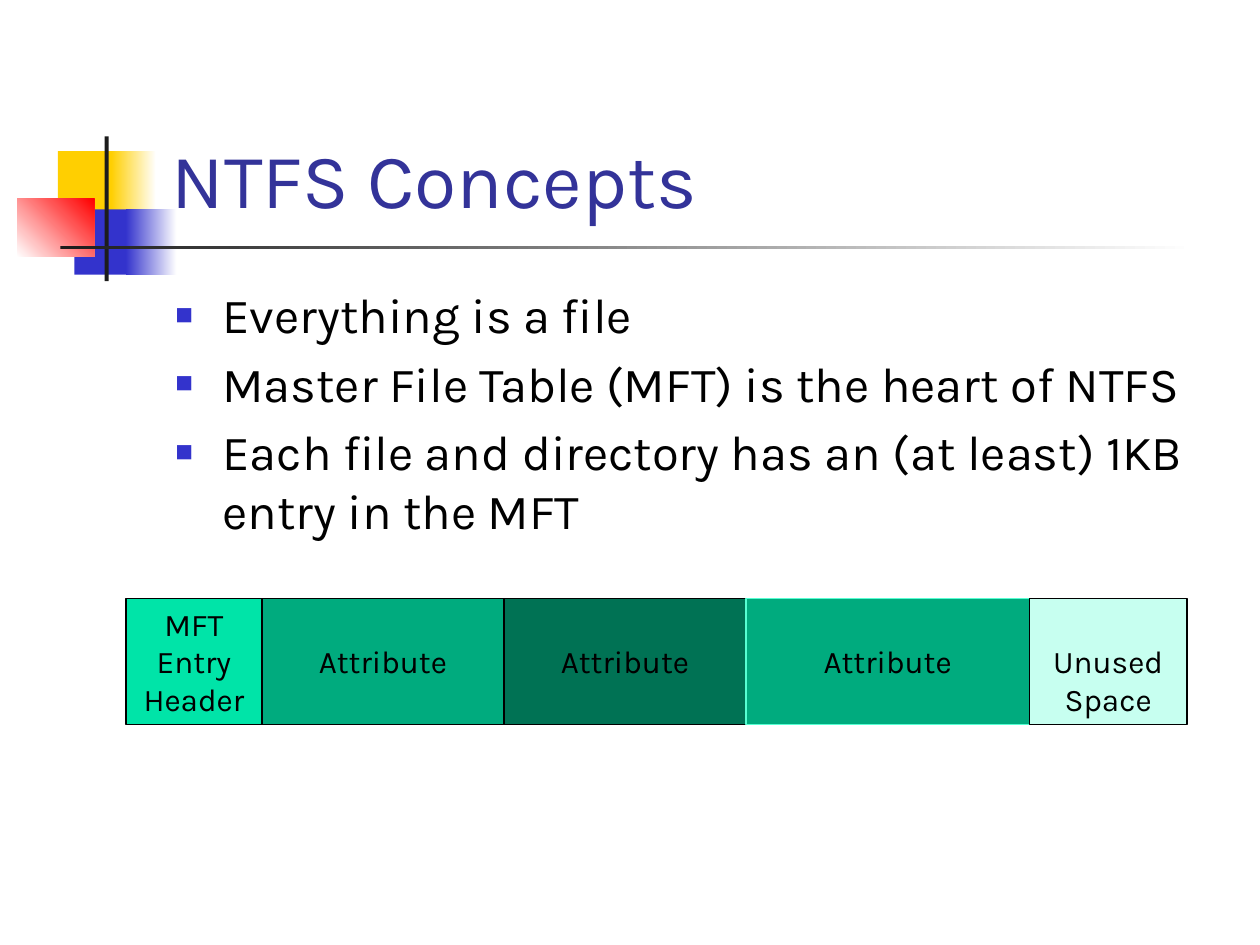
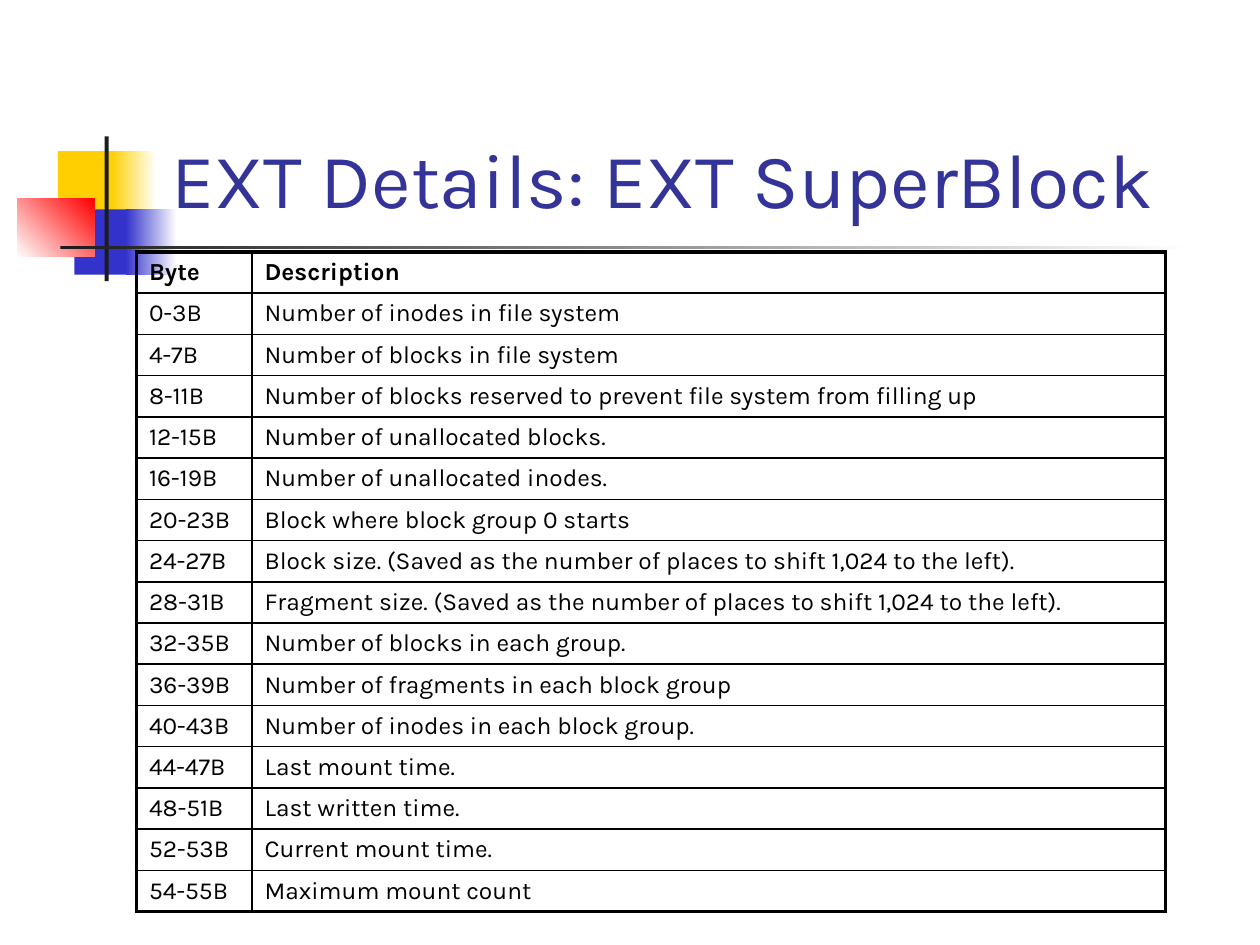
from dataclasses import dataclass

from lxml.etree import SubElement
from pptx import Presentation
from pptx.dml.color import RGBColor
from pptx.enum.shapes import MSO_SHAPE
from pptx.enum.text import MSO_ANCHOR, MSO_AUTO_SIZE, PP_ALIGN
from pptx.oxml.ns import qn
from pptx.util import Cm, Pt


@dataclass(frozen=True)
class Theme:
    font: str = "Karla"
    title: str = "333399"
    ink: str = "000000"
    paper: str = "FFFFFF"
    rule: str = "1C1C1C"
    yellow: str = "FFCF01"
    blue: str = "3333CC"
    red: str = "FF0000"
    header: str = "00E4A8"
    attribute: str = "00AB7E"
    attribute_dark: str = "007254"
    attribute_edge: str = "56FFD2"
    unused: str = "C7FFF0"
    title_size: int = 44
    body_size: int = 28
    box_size: int = 18
    cell_size: int = 14
    box_line: float = 0.75
    inner_line: float = 1
    outer_line: float = 2.25


THEME = Theme()


def add_bullet(paragraph):
    properties = paragraph._p.get_or_add_pPr()
    properties.set("marL", str(Cm(0.95)))
    properties.set("indent", str(-Cm(0.95)))
    colour = SubElement(properties, qn("a:buClr"))
    SubElement(colour, qn("a:srgbClr"), val=THEME.blue)
    SubElement(properties, qn("a:buSzPct"), val="60000")
    SubElement(properties, qn("a:buFont"), typeface="Arial")
    SubElement(properties, qn("a:buChar"), char="■")


def write(frame, lines, size, color=THEME.ink, bold=False, align=PP_ALIGN.LEFT,
          anchor=MSO_ANCHOR.TOP, bullets=False, gap=0):
    frame.word_wrap = True
    frame.vertical_anchor = anchor
    for index, line in enumerate(lines):
        paragraph = frame.add_paragraph() if index else frame.paragraphs[0]
        if bullets:
            add_bullet(paragraph)
        paragraph.alignment = align
        paragraph.space_before = Pt(gap if index else 0)
        run = paragraph.add_run()
        run.text = line
        run.font.name = THEME.font
        run.font.size = Pt(size)
        run.font.bold = bold
        run.font.color.rgb = RGBColor.from_string(color)


class Deck:
    def __init__(self, theme):
        self.theme = theme
        self.presentation = Presentation()
        self.presentation.slide_width = Cm(25.4)
        self.presentation.slide_height = Cm(19.05)
        self.slide = None

    def start(self, title, layout):
        first = self.slide is None
        layouts = self.presentation.slide_layouts
        self.slide = self.presentation.slides.add_slide(layouts.get_by_name(layout))
        if first:
            self.decorate_master()
        heading = self.slide.shapes.title
        self.place(heading, 3.2, 0.58, 21.64, 4.06)
        heading.text_frame.auto_size = MSO_AUTO_SIZE.NONE
        write(heading.text_frame, [title], self.theme.title_size,
              color=self.theme.title, anchor=MSO_ANCHOR.BOTTOM)

    def place(self, shape, left, top, width, height):
        shape.left, shape.top = Cm(left), Cm(top)
        shape.width, shape.height = Cm(width), Cm(height)

    def shape(self, preset, bounds, fill, line=None):
        shape = self.slide.shapes.add_shape(preset, *map(Cm, bounds))
        shape.shadow.inherit = False
        shape.fill.solid()
        shape.fill.fore_color.rgb = RGBColor.from_string(fill)
        if line:
            shape.line.color.rgb = RGBColor.from_string(line)
            shape.line.width = Pt(self.theme.box_line)
        else:
            shape.line.fill.background()
        return shape

    def fade(self, shape, colours, angle):
        shape.fill.gradient()
        shape.fill.gradient_angle = angle
        for stop, colour in zip(shape.fill.gradient_stops, colours):
            stop.color.rgb = RGBColor.from_string(colour)

    def decorate_master(self):
        theme = self.theme
        ornaments = (
            ((1.17, 3.05, 1.22, 1.32), theme.yellow, None, 0),
            ((2.24, 3.05, 0.91, 1.32), theme.yellow, theme.paper, 0),
            ((1.5, 4.22, 1.17, 1.32), theme.blue, None, 0),
            ((2.54, 4.22, 1.02, 1.32), theme.blue, theme.paper, 0),
            ((0.35, 4.01, 1.55, 1.17), theme.paper, theme.red, 45),
            ((2.11, 2.75, 0.08, 2.92), theme.rule, None, 0),
            ((1.22, 4.95, 22.86, 0.08), theme.rule, theme.paper, 0),
        )
        master_tree = self.presentation.slide_master.shapes.element
        for index, (bounds, colour, fade_to, angle) in enumerate(ornaments):
            ornament = self.shape(MSO_SHAPE.RECTANGLE, bounds, colour)
            if fade_to:
                self.fade(ornament, (colour, fade_to), angle)
            ornament.element.nvSpPr.cNvPr.set("id", str(100 + index))
            master_tree.insert(2 + index, ornament.element)

    def bullets(self, lines):
        body = self.slide.placeholders[1]
        self.place(body, 3.28, 5.61, 21.59, 6.88)
        body.text_frame.auto_size = MSO_AUTO_SIZE.NONE
        write(body.text_frame, lines, self.theme.body_size, bullets=True, gap=5.6)

    def box(self, lines, bounds, fill, line, anchor):
        box = self.shape(MSO_SHAPE.FLOWCHART_PROCESS, bounds, fill, line)
        write(box.text_frame, lines, self.theme.box_size,
              align=PP_ALIGN.CENTER, anchor=anchor)

    def borders(self, cell, edges):
        properties = cell._tc.get_or_add_tcPr()
        for position, (side, width) in enumerate(edges.items()):
            edge = properties.makeelement(qn(f"a:ln{side}"), {"w": str(Pt(width))})
            fill = SubElement(edge, qn("a:solidFill"))
            SubElement(fill, qn("a:srgbClr"), val=self.theme.ink)
            properties.insert(position, edge)

    def table(self, rows, left, top, widths, row_height):
        last_row, last_column = len(rows) - 1, len(widths) - 1
        table = self.slide.shapes.add_table(
            len(rows), len(widths), Cm(left), Cm(top),
            Cm(sum(widths)), Cm(row_height * len(rows))).table
        table.first_row = table.horz_banding = False
        for column, width in zip(table.columns, widths):
            column.width = Cm(width)
        inner, outer = self.theme.inner_line, self.theme.outer_line
        for r, values in enumerate(rows):
            table.rows[r].height = Cm(row_height)
            for c, value in enumerate(values):
                cell = table.cell(r, c)
                cell.fill.background()
                write(cell.text_frame, [value], self.theme.cell_size, bold=r == 0)
                self.borders(cell, {
                    "L": outer if c == 0 else inner,
                    "R": outer if c == last_column else inner,
                    "T": outer if r == 0 else inner,
                    "B": outer if r == last_row else inner,
                })


def ntfs_concepts(deck):
    theme = deck.theme
    deck.start("NTFS Concepts", "Title and Content")
    deck.bullets([
        "Everything is a file",
        "Master File Table (MFT) is the heart of NTFS",
        "Each file and directory has an (at least) 1KB entry in the MFT",
    ])
    middle = MSO_ANCHOR.MIDDLE
    entry_parts = (
        (["MFT", "Entry", "Header"], 2.74, theme.header, theme.ink, middle),
        (["Attribute"], 4.88, theme.attribute, theme.ink, middle),
        (["Attribute"], 4.88, theme.attribute_dark, theme.ink, middle),
        (["Attribute"], 5.71, theme.attribute, theme.attribute_edge, middle),
        (["Unused", "Space"], 3.18, theme.unused, theme.ink, MSO_ANCHOR.BOTTOM),
    )
    left = 2.54
    for lines, width, fill, line, anchor in entry_parts:
        deck.box(lines, (left, 12.06, width, 2.54), fill, line, anchor)
        left += width


def ext_superblock(deck):
    deck.start("EXT Details: EXT SuperBlock", "Title Only")
    fields = (
        ("Byte", "Description"),
        ("0-3B", "Number of inodes in file system"),
        ("4-7B", "Number of blocks in file system"),
        ("8-11B", "Number of blocks reserved to prevent file system from filling up"),
        ("12-15B", "Number of unallocated blocks."),
        ("16-19B", "Number of unallocated inodes."),
        ("20-23B", "Block where block group 0 starts"),
        ("24-27B", "Block size. (Saved as the number of places to shift 1,024 to the left)."),
        ("28-31B", "Fragment size. (Saved as the number of places to shift 1,024 to the left)."),
        ("32-35B", "Number of blocks in each group."),
        ("36-39B", "Number of fragments in each block group"),
        ("40-43B", "Number of inodes in each block group."),
        ("44-47B", "Last mount time."),
        ("48-51B", "Last written time."),
        ("52-53B", "Current mount time."),
        ("54-55B", "Maximum mount count"),
    )
    deck.table(fields, left=2.75, top=5.08, widths=(2.33, 18.42), row_height=0.83)


def main():
    deck = Deck(THEME)
    ntfs_concepts(deck)
    ext_superblock(deck)
    deck.presentation.save("out.pptx")


if __name__ == "__main__":
    main()
